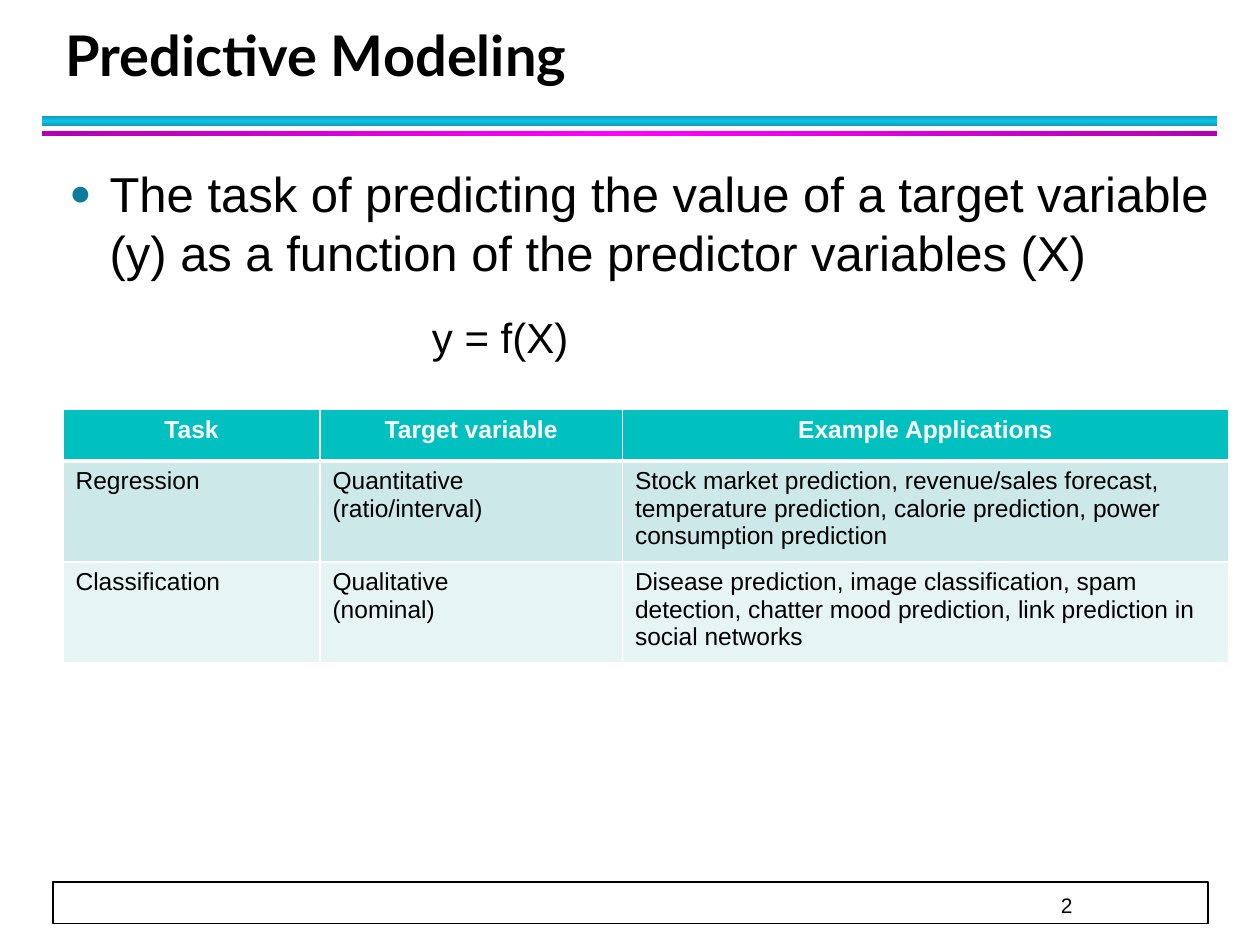
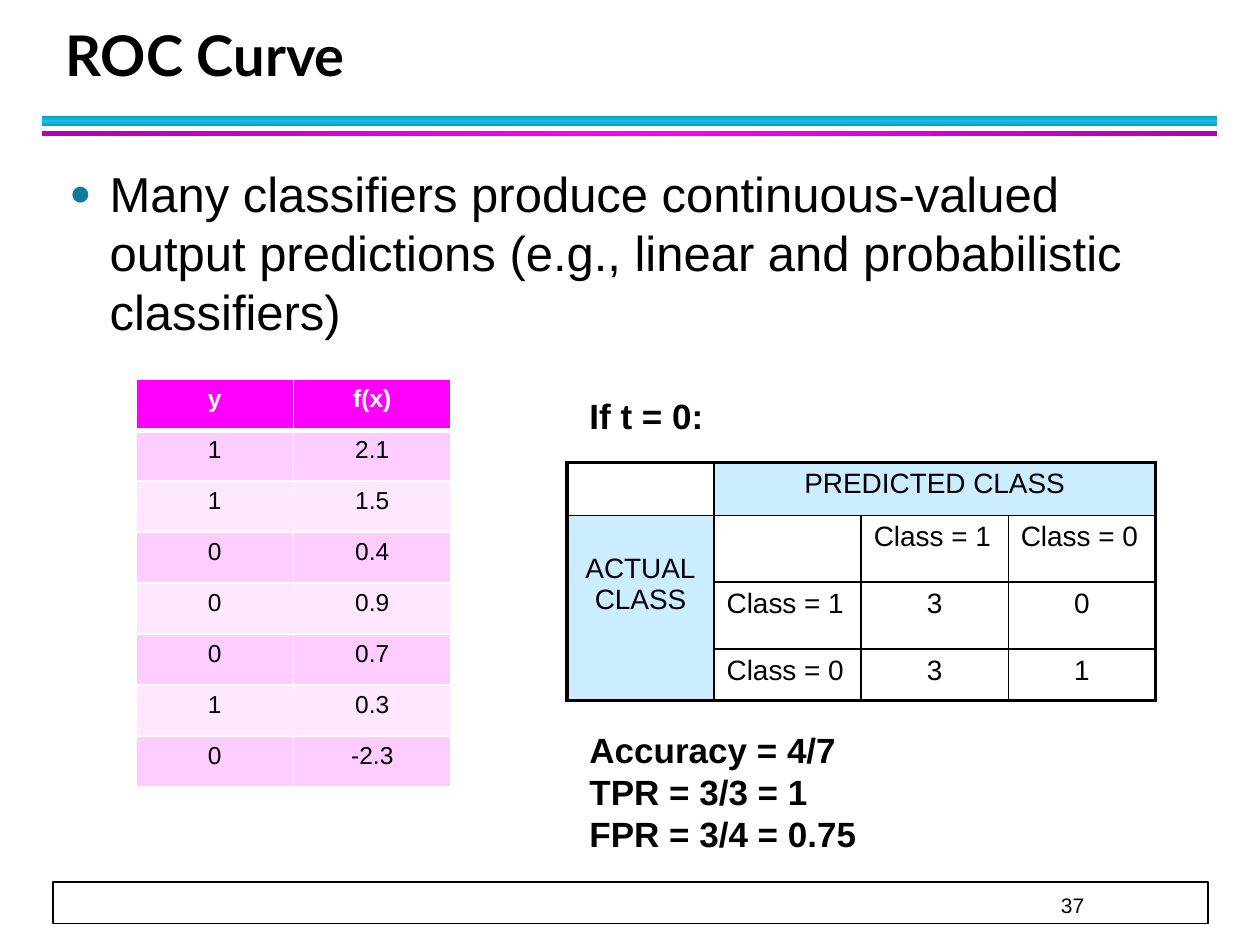
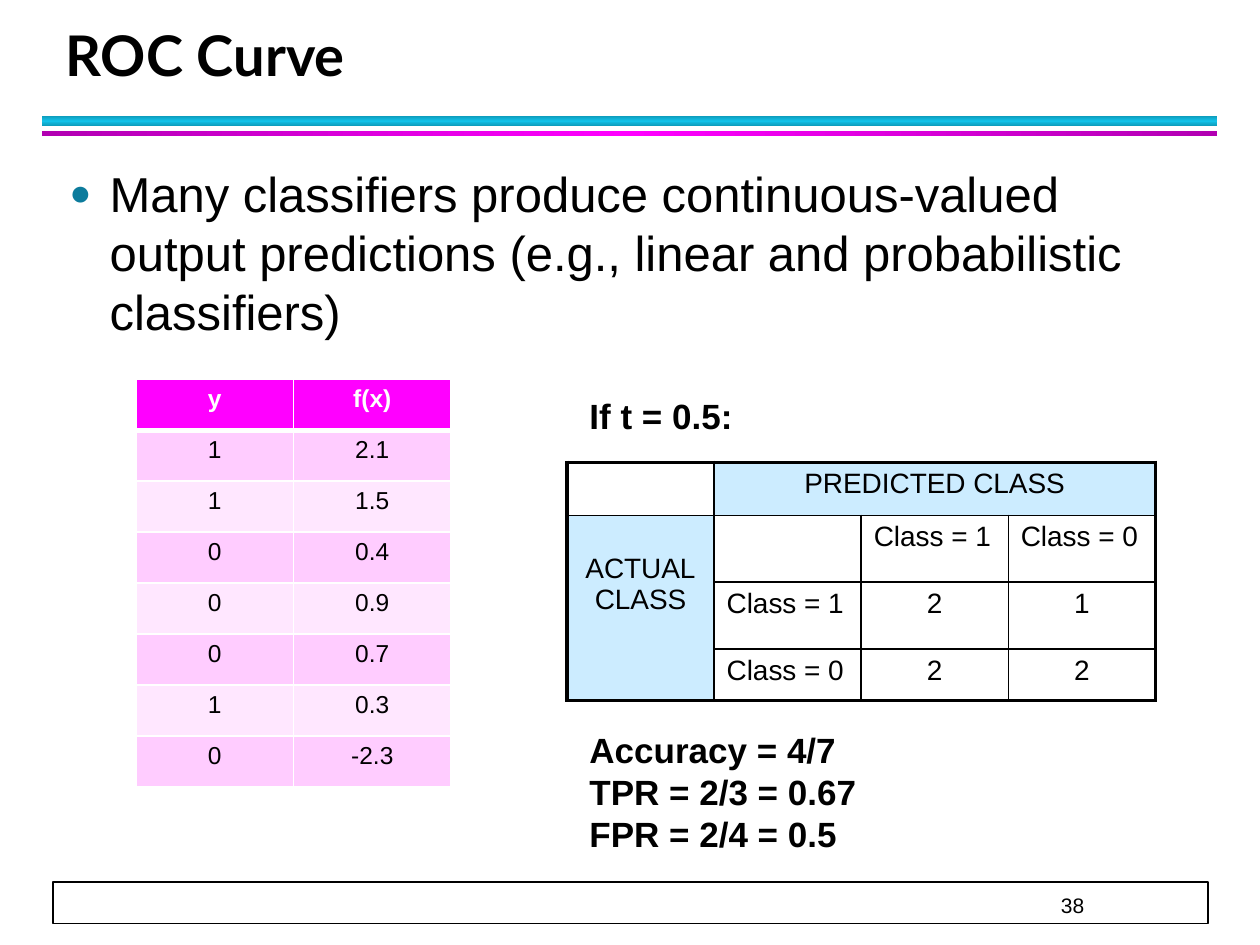
from dataclasses import dataclass, field
from typing import Any, NamedTuple

from lxml import etree
from pptx import Presentation
from pptx import util as u
from pptx.dml import color
from pptx.enum import shapes, text
from pptx.oxml import ns


@dataclass(frozen=True)
class Theme:
    heading_font: str = "Lato"
    body_font: str = "Arial"
    ink: str = "000000"
    paper: str = "FFFFFF"
    bullet: str = "0C7B9C"
    cyan: tuple[str, str] = ("0E9BBA", "12C2E9")
    magenta: tuple[str, str] = ("B200B2", "FF00FF")
    teal_rows: tuple[str, str, str] = ("00C0C0", "CCE8E8", "E7F4F4")
    pink_rows: tuple[str, str, str] = ("FF00FF", "FFCCFF", "FFE7FF")
    class_label: str = "CCECFF"
    title_size: float = 32
    body_size: float = 28
    formula_size: float = 24
    result_size: float = 20
    matrix_size: float = 16
    table_size: float = 14
    number_size: float = 12


THEME = Theme()
CENTER = text.PP_ALIGN.CENTER
NO_STYLE = "{2D5ABB26-0587-4C30-8999-92F81FD0307C}"


class Area(NamedTuple):
    left: float
    top: float
    width: float
    height: float

    def lengths(self) -> list[u.Length]:
        return [u.Inches(value) for value in self]


class Band(NamedTuple):
    area: Area
    colors: tuple[str, str]
    angle: int


class Edges(NamedTuple):
    left: float
    right: float
    top: float
    bottom: float


@dataclass(frozen=True)
class Style:
    size: float
    bold: bool = False
    ink: str = THEME.ink
    font: str = THEME.body_font
    layout: dict[str, Any] = field(default_factory=dict)


@dataclass(frozen=True)
class StripedTable:
    area: Area
    widths: list[float]
    fills: tuple[str, str, str]
    rows: list[list[str]]
    body_layout: dict[str, Any] = field(default_factory=dict)


@dataclass(frozen=True)
class RocPage:
    number: int
    threshold: str
    counts: list[list[str]]
    results: list[str]


BANDS = [
    Band(Area(0.33, 0.92, 9.33, 0.08), THEME.cyan, 90),
    Band(Area(0.33, 1.04, 9.33, 0.04), THEME.magenta, 0),
]
FOOTER = Area(0.42, 7, 9.17, 0.33)
TITLE = Area(0.42, 0.17, 9.06, 0.58)

TASKS = StripedTable(
    Area(0.5, 3.25, 9.25, 1.23), [2.04, 2.4, 4.81], THEME.teal_rows,
    [
        ["Task", "Target variable", "Example Applications"],
        ["Regression", "Quantitative (ratio/interval)",
         "Stock market prediction, revenue/sales forecast, temperature "
         "prediction, calorie prediction, power consumption prediction"],
        ["Classification", "Qualitative\n(nominal)",
         "Disease prediction, image classification, spam detection, "
         "chatter mood prediction, link prediction in social networks"],
    ],
)
SCORES = StripedTable(
    Area(1.08, 3.01, 2.5, 3.24), [1.25, 1.25], THEME.pink_rows,
    [["y", "f(x)"], ["1", "2.1"], ["1", "1.5"], ["0", "0.4"], ["0", "0.9"],
     ["0", "0.7"], ["1", "0.3"], ["0", "-2.3"]],
    {"alignment": CENTER},
)
ROC_PAGES = [
    RocPage(37, "If t = 0:", [["3", "0"], ["3", "1"]],
            ["Accuracy = 4/7", "TPR = 3/3 = 1", "FPR = 3/4 = 0.75"]),
    RocPage(38, "If t = 0.5:", [["2", "1"], ["2", "2"]],
            ["Accuracy = 4/7", "TPR = 2/3 = 0.67", "FPR = 2/4 = 0.5"]),
]


def rgb(value: str) -> color.RGBColor:
    return color.RGBColor.from_string(value)


def apply(target: Any, values: dict[str, Any]) -> None:
    for name, value in values.items():
        setattr(target, name, value)


def add_xml(parent: Any, tag: str, **attributes: Any) -> Any:
    values = {name: str(value) for name, value in attributes.items()}
    return etree.SubElement(parent, ns.qn(tag), values)


def write(frame: Any, lines: list[str], style: Style) -> None:
    for index, line in enumerate(lines):
        para = frame.add_paragraph() if index else frame.paragraphs[0]
        para.text = line
        apply(para, style.layout)
        for span in para.runs:
            apply(span.font, {"name": style.font, "size": u.Pt(style.size), "bold": style.bold})
            span.font.color.rgb = rgb(style.ink)


def place(shape: Any, area: Area) -> None:
    apply(shape, dict(zip(("left", "top", "width", "height"), area.lengths())))


def add_text(page: Any, area: Area, lines: list[str], style: Style,
             frame_format: dict[str, Any] | None = None) -> None:
    box = page.shapes.add_textbox(*area.lengths())
    apply(box.text_frame, {"word_wrap": True} | (frame_format or {}))
    write(box.text_frame, lines, style)


def add_rectangle(page: Any, area: Area) -> Any:
    box = page.shapes.add_shape(shapes.MSO_SHAPE.RECTANGLE, *area.lengths())
    box.shadow.inherit = False
    return box


def add_band(page: Any, band: Band) -> None:
    box = add_rectangle(page, band.area)
    box.line.fill.background()
    box.fill.gradient()
    stops = box.fill._fill._gradFill.find(ns.qn("a:gsLst"))
    for stop in list(stops):
        stops.remove(stop)
    edge, middle = band.colors
    for position, value in ((0, edge), (50, middle), (100, edge)):
        add_xml(add_xml(stops, "a:gs", pos=position * 1000), "a:srgbClr", val=value)
    box.fill.gradient_angle = band.angle


def add_footer(page: Any, number: int) -> None:
    box = add_rectangle(page, FOOTER)
    box.fill.solid()
    box.fill.fore_color.rgb = rgb(THEME.paper)
    box.line.color.rgb = rgb(THEME.ink)
    box.line.width = u.Pt(1)
    add_text(page, FOOTER._replace(height=0.28), [str(number)],
             Style(THEME.number_size, layout={"line_spacing": u.Pt(20)}),
             {"margin_left": u.Inches(8), "margin_right": 0, "margin_top": 0,
              "margin_bottom": 0, "vertical_anchor": text.MSO_ANCHOR.BOTTOM})


def add_bullet(para: Any) -> None:
    properties = para._p.get_or_add_pPr()
    indent = u.Inches(0.32)
    properties.set("marL", str(indent))
    properties.set("indent", str(-indent))
    add_xml(add_xml(properties, "a:buClr"), "a:srgbClr", val=THEME.bullet)
    add_xml(properties, "a:buSzPct", val=75000)
    add_xml(properties, "a:buFont", typeface=THEME.body_font)
    add_xml(properties, "a:buChar", char="●")


def add_page(deck: Any, number: int, title: str, bullet: str, body_width: float) -> Any:
    page = deck.slides.add_slide(deck.slide_layouts[1])
    add_footer(page, number)
    for band in BANDS:
        add_band(page, band)
    heading, body = page.placeholders
    place(heading, TITLE)
    place(body, Area(0.45, 1.25, body_width, 5.67))
    for box, anchor in ((heading, text.MSO_ANCHOR.BOTTOM), (body, text.MSO_ANCHOR.TOP)):
        apply(box.text_frame, {"vertical_anchor": anchor, "word_wrap": True,
                               "auto_size": text.MSO_AUTO_SIZE.NONE})
    write(heading.text_frame, [title],
          Style(THEME.title_size, True, font=THEME.heading_font,
                layout={"alignment": text.PP_ALIGN.LEFT, "line_spacing": u.Pt(36)}))
    write(body.text_frame, [bullet],
          Style(THEME.body_size, layout={"space_before": u.Pt(2.8), "space_after": u.Pt(4)}))
    add_bullet(body.text_frame.paragraphs[0])
    return page


def add_grid(page: Any, area: Area, widths: list[float], heights: list[float]) -> Any:
    table = page.shapes.add_table(len(heights), len(widths), *area.lengths()).table
    apply(table, {"first_row": False, "horz_banding": False})
    table._tbl.tblPr.find(ns.qn("a:tableStyleId")).text = NO_STYLE
    for column, width in zip(table.columns, widths):
        column.width = u.Inches(width)
    for row, height in zip(table.rows, heights):
        row.height = u.Inches(height)
    return table


def paint_cell(cell: Any, fill: str | None, border: str, edges: Edges) -> None:
    properties = cell._tc.get_or_add_tcPr()
    for side, width in zip("LRTB", edges):
        line = add_xml(properties, f"a:ln{side}", w=u.Pt(width))
        add_xml(add_xml(line, "a:solidFill"), "a:srgbClr", val=border)
    if fill:
        cell.fill.solid()
        cell.fill.fore_color.rgb = rgb(fill)
    else:
        cell.fill.background()


def add_striped_table(page: Any, spec_table: StripedTable) -> None:
    count = len(spec_table.rows)
    table = add_grid(page, spec_table.area, spec_table.widths,
                     [spec_table.area.height / count] * count)
    header, odd, even = spec_table.fills
    header_style = Style(THEME.table_size, True, THEME.paper, layout={"alignment": CENTER})
    body_style = Style(THEME.table_size, layout=spec_table.body_layout)
    for row, values in enumerate(spec_table.rows):
        fill = (odd if row % 2 else even) if row else header
        edges = Edges(1, 1, 3 if row == 1 else 1, 1 if row else 3)
        for column, value in enumerate(values):
            cell = table.cell(row, column)
            paint_cell(cell, fill, THEME.paper, edges)
            write(cell.text_frame, value.split("\n"), body_style if row else header_style)


def add_confusion_matrix(page: Any, counts: list[list[str]]) -> None:
    table = add_grid(page, Area(4.5, 3.67, 4.67, 1.89), [4.67 / 4] * 4,
                     [0.42, 0.53, 0.53, 0.41])
    table.cell(0, 1).merge(table.cell(0, 3))
    table.cell(1, 0).merge(table.cell(3, 0))
    table.cell(1, 0).margin_top = u.Inches(0.3)
    rows = [
        ["", "PREDICTED CLASS", "", ""],
        ["ACTUAL\nCLASS", "", "Class = 1", "Class = 0"],
        ["", "Class = 1", *counts[0]],
        ["", "Class = 0", *counts[1]],
    ]
    spacing = {"space_before": u.Pt(1.6), "space_after": u.Pt(4)}
    left_style = Style(THEME.matrix_size, layout=spacing)
    center_style = Style(THEME.matrix_size, layout=spacing | {"alignment": CENTER})
    for row, values in enumerate(rows):
        for column, value in enumerate(values):
            cell = table.cell(row, column)
            if cell.is_spanned:
                continue
            last_column = column + (cell.span_width if cell.is_merge_origin else 1) == 4
            last_row = row + (cell.span_height if cell.is_merge_origin else 1) == 4
            outer = (column == 0, last_column, row == 0, last_row)
            paint_cell(cell, THEME.class_label if cell.is_merge_origin else None,
                       THEME.ink, Edges(*(2.25 if side else 1 for side in outer)))
            if value:
                write(cell.text_frame, [value],
                      left_style if value.startswith("Class") else center_style)


def add_modeling_page(deck: Any) -> None:
    page = add_page(deck, 2, "Predictive Modeling",
                    "The task of predicting the value of a target variable (y) "
                    "as a function of the predictor variables (X)", 9.3)
    add_striped_table(page, TASKS)
    add_text(page, Area(3.33, 2.42, 2.67, 0.5), ["y = f(X)"], Style(THEME.formula_size))


def add_roc_page(deck: Any, roc: RocPage) -> None:
    page = add_page(deck, roc.number, "ROC Curve",
                    "Many classifiers produce continuous-valued output predictions "
                    "(e.g., linear and probabilistic classifiers)", 9.1)
    add_striped_table(page, SCORES)
    bold = Style(THEME.result_size, True)
    add_text(page, Area(4.58, 3.08, 4.5, 0.44), [roc.threshold], bold)
    add_confusion_matrix(page, roc.counts)
    add_text(page, Area(4.58, 5.73, 4.5, 1.11), roc.results, bold)


def main() -> None:
    deck = Presentation()
    apply(deck, {"slide_width": u.Inches(10), "slide_height": u.Inches(7.5)})
    add_modeling_page(deck)
    for roc in ROC_PAGES:
        add_roc_page(deck, roc)
    deck.save("out.pptx")


if __name__ == "__main__":
    main()
